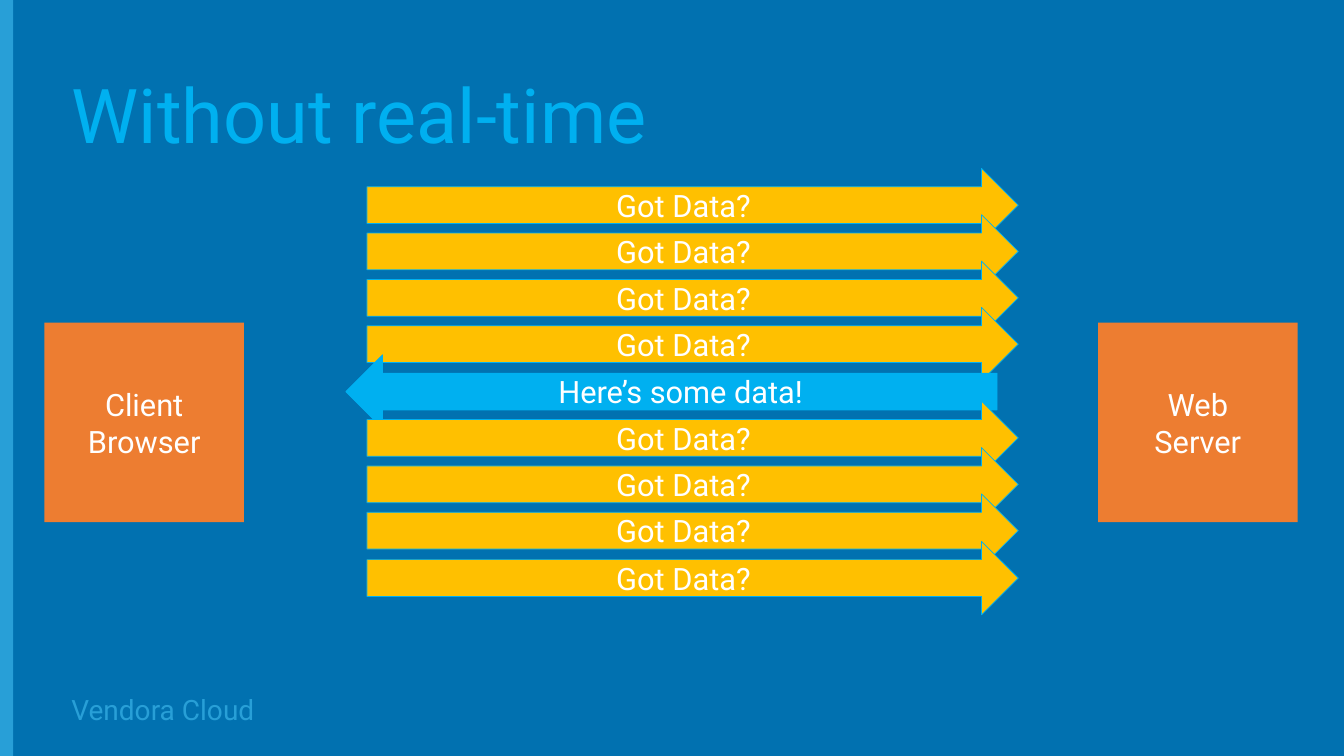
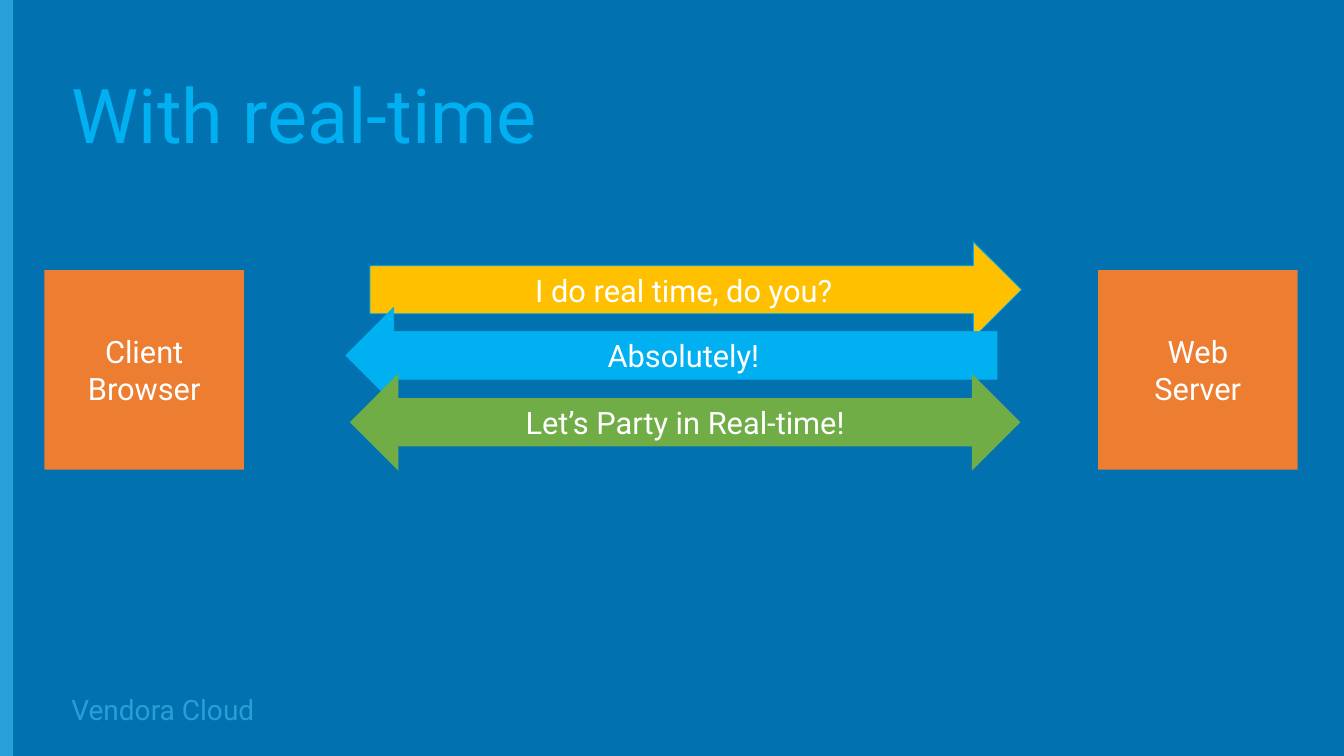
from pptx import Presentation
from pptx.dml.color import RGBColor
from pptx.enum.shapes import MSO_SHAPE
from pptx.enum.text import MSO_ANCHOR, MSO_AUTO_SIZE, PP_ALIGN
from pptx.util import Emu, Pt

RECTANGLE = MSO_SHAPE.RECTANGLE
RIGHT = MSO_SHAPE.RIGHT_ARROW
LEFT = MSO_SHAPE.LEFT_ARROW
BOTH = MSO_SHAPE.LEFT_RIGHT_ARROW
MIDDLE = MSO_ANCHOR.MIDDLE
NO_FIT = MSO_AUTO_SIZE.NONE
ALIGN_LEFT, ALIGN_CENTER = PP_ALIGN.LEFT, PP_ALIGN.CENTER

EMU_PER_PX = 9144  # 100 px to the inch
SLIDE_WIDTH, SLIDE_HEIGHT = 1333, 750
FONT = "Roboto"
BACKGROUND = "0171B0"
ACCENT = "289FD7"
SKY = "00B0F0"
AMBER = "FFC000"
ORANGE = "ED7D31"
GREEN = "70AD47"
WHITE = "FFFFFF"


def px(length):
    return Emu(length * EMU_PER_PX)


def rgb(value):
    return RGBColor.from_string(value)


class Deck:
    """Holds the shared style and the slide being built."""

    def __init__(self):
        self.presentation = Presentation()
        self.presentation.slide_width = px(SLIDE_WIDTH)
        self.presentation.slide_height = px(SLIDE_HEIGHT)
        background = self.presentation.slide_master.background.fill
        background.solid()
        background.fore_color.rgb = rgb(BACKGROUND)
        self.slide = None

    def set_text(self, shape, text, size, color, align=ALIGN_LEFT, spacing=1.0):
        frame = shape.text_frame
        frame.text = text
        frame_format = {"word_wrap": True, "auto_size": NO_FIT,
                        "vertical_anchor": MIDDLE}
        for name, value in frame_format.items():
            setattr(frame, name, value)
        for paragraph in frame.paragraphs:
            paragraph.alignment = align
            paragraph.line_spacing = spacing
            for run in paragraph.runs:
                run.font.name = FONT
                run.font.size = Pt(size)
                run.font.color.rgb = rgb(color)

    def block(self, preset, box, fill, text="", line=None):
        shape = self.slide.shapes.add_shape(preset, *map(px, box))
        shape.shadow.inherit = False
        shape.fill.solid()
        shape.fill.fore_color.rgb = rgb(fill)
        if line:
            shape.line.color.rgb = rgb(line)
            shape.line.width = Pt(0.5)
        else:
            shape.line.fill.background()
        if text:
            self.set_text(shape, text, 22, WHITE, ALIGN_CENTER)

    def new_slide(self, heading):
        """Start a slide with its title, side band and footer."""
        layout = self.presentation.slide_layouts.get_by_name("Title Only")
        self.slide = self.presentation.slides.add_slide(layout)
        title = self.slide.shapes.title
        place = {"left": 61, "top": 46, "width": 1212, "height": 145}
        for name, value in place.items():
            setattr(title, name, px(value))
        self.set_text(title, heading, 54, SKY, spacing=0.9)
        self.block(RECTANGLE, (0, 0, 13, SLIDE_HEIGHT), ACCENT)
        footer = self.slide.shapes.add_textbox(*map(px, (61, 684, 300, 40)))
        self.set_text(footer, "Vendora Cloud", 20, ACCENT)

    def endpoints(self, top):
        """Draw the browser and the server at the two sides."""
        for left, text in ((44, "Client Browser"), (1089, "Web\vServer")):
            self.block(RECTANGLE, (left, top, 198, 198), ORANGE, text)

    def request(self, left, top, height, text):
        self.block(RIGHT, (left, top, 646, height), AMBER, text, SKY)

    def reply(self, top, height, text):
        self.block(LEFT, (343, top, 646, height), SKY, text, SKY)


def without_real_time(deck):
    deck.new_slide("Without real-time")
    deck.endpoints(320)
    count, reply_index = 9, 4
    first_top, last_top, height = 167, 537, 73
    for index in range(count):
        top = first_top + (last_top - first_top) * index // (count - 1)
        if index == reply_index:
            deck.reply(top, height, "Here’s some data!")
        else:
            deck.request(364, top, height, "Got Data?")


def with_real_time(deck):
    deck.new_slide("With real-time")
    deck.endpoints(268)
    deck.request(367, 240, 95, "I do real time, do you?")
    deck.reply(305, 95, "Absolutely!")
    deck.block(BOTH, (347, 371, 665, 96), GREEN, "Let’s Party in Real-time!")


def main():
    deck = Deck()
    without_real_time(deck)
    with_real_time(deck)
    deck.presentation.save("out.pptx")


if __name__ == "__main__":
    main()
